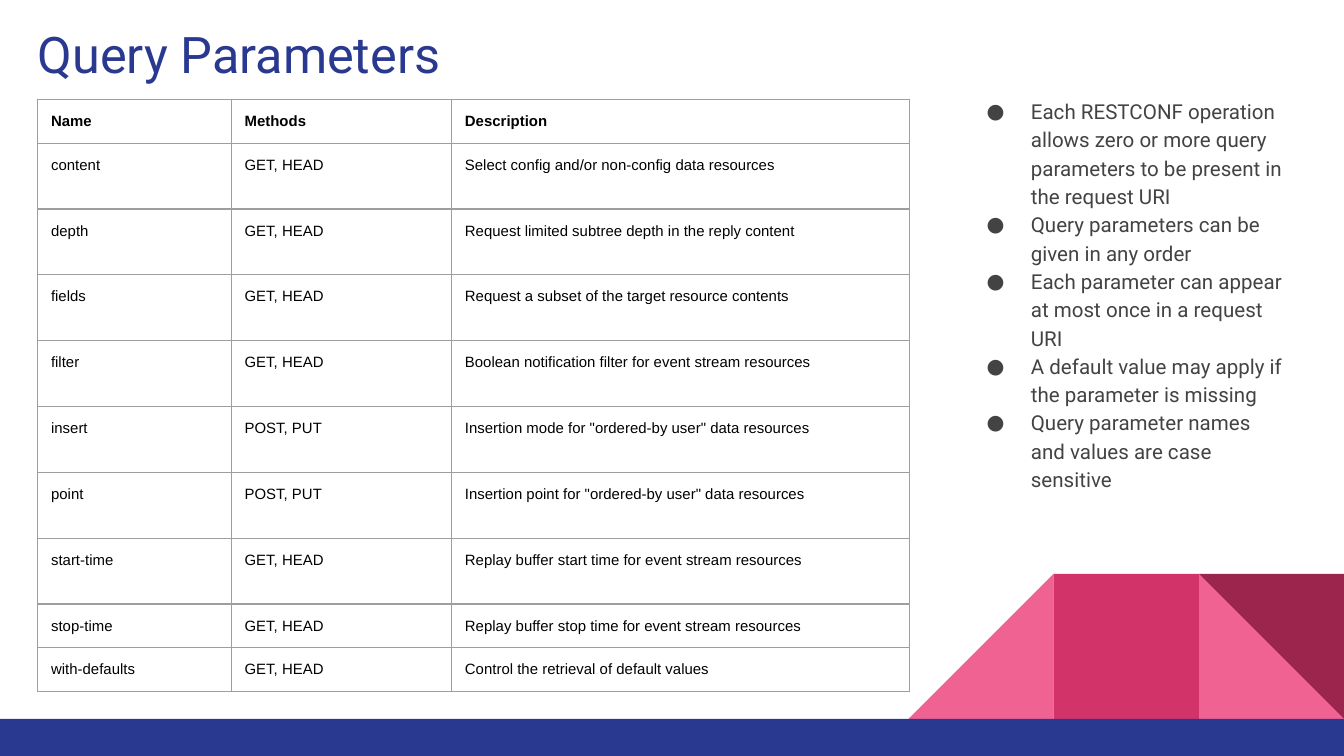
import pptx
import pptx.util
import pptx.dml.color
import pptx.enum.shapes
import pptx.enum.text
import pptx.oxml
import pptx.oxml.ns
from dataclasses import dataclass
from typing import Any

RGBColor = pptx.dml.color.RGBColor
Kind = pptx.enum.shapes.MSO_SHAPE
Anchor = pptx.enum.text.MSO_ANCHOR

NAVY = RGBColor(0x2A, 0x39, 0x90)
PINK = RGBColor(0xF0, 0x62, 0x92)
CRIMSON = RGBColor(0xD2, 0x33, 0x69)
WINE = RGBColor(0x9C, 0x25, 0x4D)
CHARCOAL = RGBColor(0x43, 0x43, 0x43)
BLACK = RGBColor(0, 0, 0)
GRAY = RGBColor(0x9E, 0x9E, 0x9E)

PAGE_WIDTH = pptx.util.Inches(10)
PAGE_HEIGHT = PAGE_WIDTH * 9 // 16
INSET = pptx.util.Inches(0.1)


@dataclass(frozen=True)
class Box:
    """Position and size in percent of the slide."""
    left: float
    top: float
    width: float
    height: float

    def lengths(self) -> dict[str, int]:
        return {
            "left": int(self.left * PAGE_WIDTH / 100),
            "top": int(self.top * PAGE_HEIGHT / 100),
            "width": int(self.width * PAGE_WIDTH / 100),
            "height": int(self.height * PAGE_HEIGHT / 100),
        }


@dataclass(frozen=True)
class Tile:
    kind: Any
    box: Box
    color: RGBColor
    rotation: int = 0
    flipped: bool = False


@dataclass(frozen=True)
class Parameter:
    name: str
    methods: str
    description: str
    height: float = 0.49


TILE_WIDTH, TILE_HEIGHT, BAR_TOP = 10.8, 19.2, 95.1


def tile_box(columns_from_right: int) -> Box:
    return Box(100 - columns_from_right * TILE_WIDTH, BAR_TOP - TILE_HEIGHT, TILE_WIDTH, TILE_HEIGHT)


TILES = [
    Tile(Kind.RIGHT_TRIANGLE, tile_box(1), PINK),
    Tile(Kind.RIGHT_TRIANGLE, tile_box(3), PINK, flipped=True),
    Tile(Kind.RECTANGLE, tile_box(2), CRIMSON),
    Tile(Kind.RIGHT_TRIANGLE, tile_box(1), WINE, rotation=180),
    Tile(Kind.RECTANGLE, Box(0, BAR_TOP, 100, 100 - BAR_TOP), NAVY),
]

COLUMN_WIDTHS = [1.44, 1.64, 3.41]
READ, WRITE = "GET, HEAD", "POST, PUT"
PARAMETERS = [
    Parameter("Name", "Methods", "Description", 0.32),
    Parameter("content", READ, "Select config and/or non-config data resources"),
    Parameter("depth", READ, "Request limited subtree depth in the reply content"),
    Parameter("fields", READ, "Request a subset of the target resource contents"),
    Parameter("filter", READ, "Boolean notification filter for event stream resources"),
    Parameter("insert", WRITE, 'Insertion mode for "ordered-by user" data resources'),
    Parameter("point", WRITE, 'Insertion point for "ordered-by user" data resources'),
    Parameter("start-time", READ, "Replay buffer start time for event stream resources"),
    Parameter("stop-time", READ, "Replay buffer stop time for event stream resources", 0.32),
    Parameter("with-defaults", READ, "Control the retrieval of default values", 0.32),
]

RULES = [
    "Each RESTCONF operation allows zero or more query parameters to be present in the request URI",
    "Query parameters can be given in any order",
    "Each parameter can appear at most once in a request URI",
    "A default value may apply if the parameter is missing",
    "Query parameter names and values are case sensitive",
]

TITLE_FONT = {"name": "Roboto", "size": pptx.util.Pt(27), "bold": False}
BODY_FONT = {"name": "Roboto", "size": pptx.util.Pt(11)}
CELL_FONT = {"name": "Arial", "size": pptx.util.Pt(8)}
MARGINS = {f"margin_{side}": INSET for side in ("left", "right", "top", "bottom")}
PARAGRAPH = {"alignment": pptx.enum.text.PP_ALIGN.LEFT, "space_before": pptx.util.Pt(0)}


def apply(target: Any, values: dict[str, Any]) -> None:
    for name, value in values.items():
        setattr(target, name, value)


def write(para: Any, text: str, font: dict[str, Any], color: RGBColor) -> None:
    apply(para, PARAGRAPH)
    span = para.add_run()
    span.text = text
    apply(span.font, font)
    span.font.color.rgb = color


def draw_tile(page: Any, tile: Tile) -> None:
    shape = page.shapes.add_shape(tile.kind, **tile.box.lengths())
    shape.shadow.inherit = False
    shape.fill.solid()
    shape.fill.fore_color.rgb = tile.color
    shape.line.fill.background()
    shape.rotation = tile.rotation
    if tile.flipped:
        shape._element.spPr.xfrm.set("flipH", "1")


def place_frame(holder: Any, box: Box, anchor: Any) -> Any:
    apply(holder, box.lengths())
    frame = holder.text_frame
    apply(frame, MARGINS | {
        "word_wrap": True,
        "vertical_anchor": anchor,
        "auto_size": pptx.enum.text.MSO_AUTO_SIZE.NONE,
    })
    return frame


def add_bullet(para: Any) -> None:
    namespace = pptx.oxml.ns.nsdecls("a")
    properties = para._p.get_or_add_pPr()
    properties.set("marL", str(pptx.util.Inches(0.5)))
    properties.set("indent", str(pptx.util.Inches(-0.33)))
    for xml in (
        f'<a:buClr {namespace}><a:srgbClr val="{CHARCOAL}"/></a:buClr>',
        f'<a:buFont {namespace} typeface="Roboto"/>',
        f'<a:buChar {namespace} char="●"/>',
    ):
        properties.append(pptx.oxml.parse_xml(xml))


def draw_borders(cell: Any) -> None:
    namespace = pptx.oxml.ns.nsdecls("a")
    properties = cell._tc.get_or_add_tcPr()
    for index, side in enumerate("LRTB"):
        properties.insert(index, pptx.oxml.parse_xml(
            f'<a:ln{side} {namespace} w="{pptx.util.Pt(0.75)}"><a:solidFill>'
            f'<a:srgbClr val="{GRAY}"/></a:solidFill></a:ln{side}>'))


def draw_table(page: Any, box: Box) -> None:
    table = page.shapes.add_table(len(PARAMETERS), len(COLUMN_WIDTHS), **box.lengths()).table
    apply(table, {"first_row": False, "horz_banding": False})
    for column, width in zip(table.columns, COLUMN_WIDTHS):
        column.width = pptx.util.Inches(width)
    for index, (row, parameter) in enumerate(zip(table.rows, PARAMETERS)):
        row.height = pptx.util.Inches(parameter.height)
        texts = (parameter.name, parameter.methods, parameter.description)
        for cell, text in zip(row.cells, texts):
            apply(cell, MARGINS | {"vertical_anchor": Anchor.TOP})
            cell.fill.background()
            draw_borders(cell)
            write(cell.text_frame.paragraphs[0], text, CELL_FONT | {"bold": index == 0}, BLACK)


def main() -> None:
    deck = pptx.Presentation()
    apply(deck, {"slide_width": PAGE_WIDTH, "slide_height": PAGE_HEIGHT})
    page = deck.slides.add_slide(deck.slide_layouts[1])
    for tile in TILES:
        draw_tile(page, tile)

    title = place_frame(page.shapes.title, Box(1.8, 1.24, 93.2, 11.73), Anchor.MIDDLE)
    write(title.paragraphs[0], "Query Parameters", TITLE_FONT, NAVY)

    body = place_frame(page.placeholders[1], Box(70.7, 10.84, 25.9, 78.04), Anchor.TOP)
    for index, rule in enumerate(RULES):
        para = body.add_paragraph() if index else body.paragraphs[0]
        para.line_spacing = 1.15
        write(para, rule, BODY_FONT, CHARCOAL)
        add_bullet(para)

    draw_table(page, Box(2.8, 13.16, 64.9, 78))
    deck.save("out.pptx")


if __name__ == "__main__":
    main()
